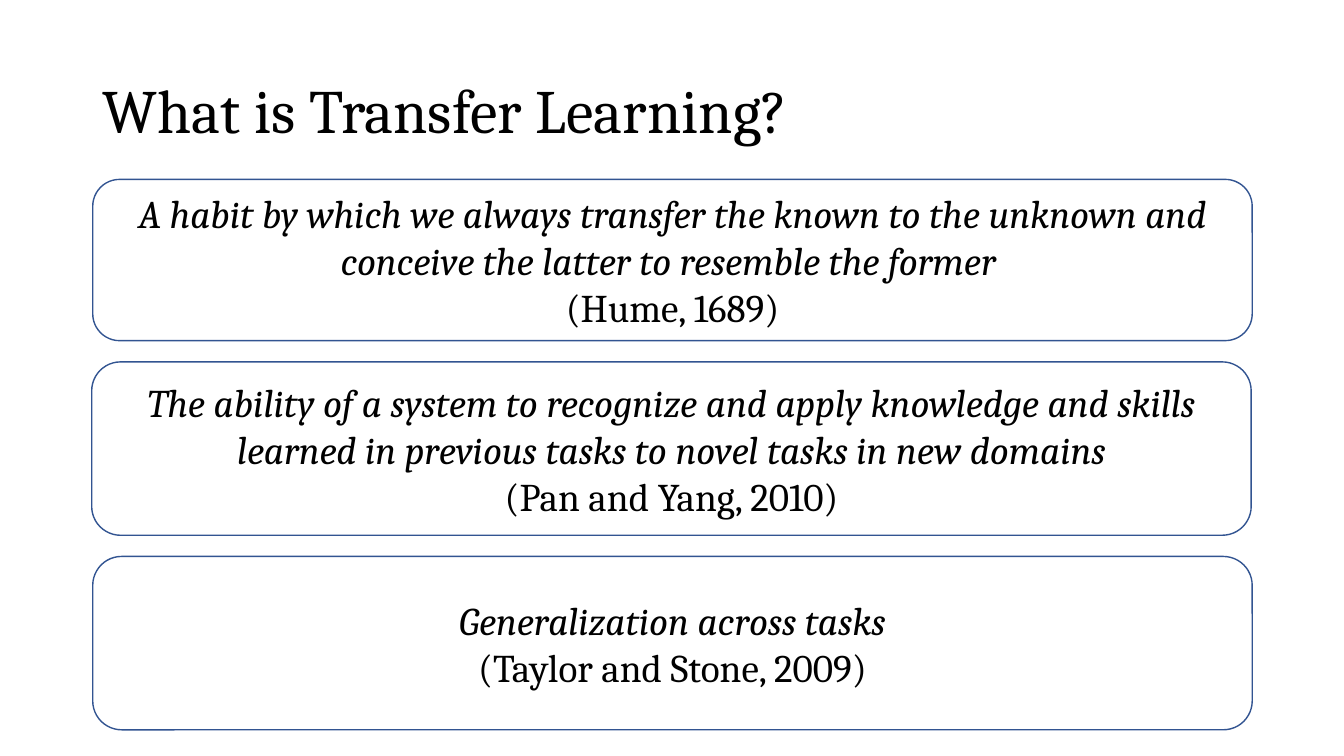
from dataclasses import dataclass

from pptx import Presentation
from pptx.dml.color import RGBColor as Rgb
from pptx.enum.shapes import MSO_SHAPE as Shape
from pptx.enum.text import MSO_ANCHOR as Anchor, PP_ALIGN as Align
from pptx.util import Pt

SCALE = 9144


@dataclass(frozen=True)
class Theme:
    face: str = "Cambria"
    ink: Rgb = Rgb(0, 0, 0)
    paper: Rgb = Rgb(255, 255, 255)
    edge: Rgb = Rgb(0x32, 0x54, 0x91)
    head: int = 44
    body: int = 28


class Deck:
    def __init__(self, theme, width, height):
        self.theme = theme
        self.file = Presentation()
        self.file.slide_width = width * SCALE
        self.file.slide_height = height * SCALE
        self.slide = self.file.slides.add_slide(self.file.slide_layouts[5])

    def style(self, par, size, align, slant=False):
        par.alignment = align
        font = par.font
        font.name = self.theme.face
        font.size = Pt(size)
        font.italic = slant
        font.color.rgb = self.theme.ink

    def title(self, text, left, top, width, height):
        box = self.slide.shapes.title
        box.left, box.top = left * SCALE, top * SCALE
        box.width, box.height = width * SCALE, height * SCALE
        frame = box.text_frame
        frame.text = text
        frame.vertical_anchor = Anchor.MIDDLE
        par = frame.paragraphs[0]
        par.line_spacing = 0.9
        self.style(par, self.theme.head, Align.LEFT)

    def quote(self, text, source, left, top, width, height):
        box = self.slide.shapes.add_shape(
            Shape.ROUNDED_RECTANGLE,
            left * SCALE, top * SCALE, width * SCALE, height * SCALE)
        box.shadow.inherit = False
        box.fill.solid()
        box.fill.fore_color.rgb = self.theme.paper
        box.line.color.rgb = self.theme.edge
        box.line.width = Pt(1)
        frame = box.text_frame
        frame.word_wrap = True
        frame.vertical_anchor = Anchor.MIDDLE
        frame.text = f"{text}\n{source}"
        words, credit = frame.paragraphs
        self.style(words, self.theme.body, Align.CENTER, slant=True)
        self.style(credit, self.theme.body, Align.CENTER)

    def save(self):
        self.file.save("out.pptx")


QUOTES = [
    ("A habit by which we always transfer the known to the unknown and "
     "conceive the latter to resemble the former ", "(Hume, 1689)", 92, 160),
    ("The ability of a system to recognize and apply knowledge and skills "
     "learned in previous tasks to novel tasks in new domains",
     "(Pan and Yang, 2010)", 91, 172),
    ("Generalization across tasks", "(Taylor and Stone, 2009)", 92, 172),
]


def main():
    width, gap, top = 1150, 21, 178
    deck = Deck(Theme(), 1333, 750)
    deck.title("What is Transfer Learning?", 92, 40, width, 145)
    for text, source, left, height in QUOTES:
        deck.quote(text, source, left, top, width, height)
        top += height + gap
    deck.save()


if __name__ == "__main__":
    main()
